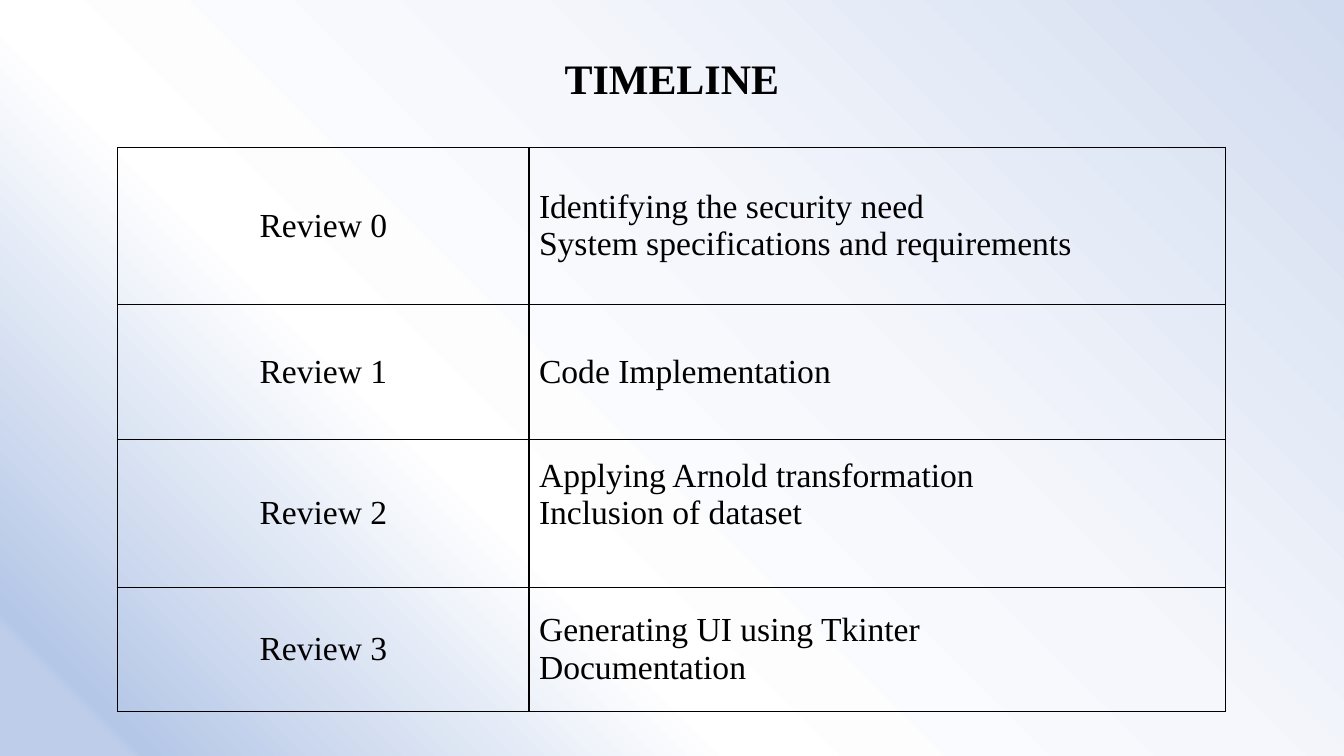
from pptx import Presentation
from pptx.dml.color import RGBColor
from pptx.enum.text import MSO_ANCHOR as ANCHOR, PP_ALIGN as ALIGN
from pptx.oxml import parse_xml
from pptx.oxml.ns import nsdecls
from pptx.util import Cm, Pt

BLACK = RGBColor(0x00, 0x00, 0x00)
BACKGROUND_STOPS = [
    (0, RGBColor(0xBE, 0xCE, 0xEA)),
    (6, RGBColor(0xBE, 0xCE, 0xEA)),
    (7, RGBColor(0xB5, 0xC7, 0xE7)),
    (35, RGBColor(0xFF, 0xFF, 0xFF)),
    (60, RGBColor(0xF5, 0xF7, 0xFC)),
    (100, RGBColor(0xD1, 0xDC, 0xF0)),
]
FONT = "Times New Roman"
COLUMN_WIDTHS = [10.36, 17.55]
MARGIN_BOTTOM = 0.13
REVIEWS = [
    ("Review 0", ["Identifying the security need",
                  "System specifications and requirements"], 3.96, MARGIN_BOTTOM),
    ("Review 1", ["Code Implementation"], 3.4, MARGIN_BOTTOM),
    ("Review 2", ["Applying Arnold transformation",
                  "Inclusion of dataset"], 3.73, 1.07),
    ("Review 3", ["Generating UI using Tkinter", "Documentation"], 3.12, MARGIN_BOTTOM),
]


def add_background(s):
    """Fill the slide with a gradient spreading from the bottom left corner."""
    stops = "".join(f'<a:gs pos="{pos * 1000}"><a:srgbClr val="{color}"/></a:gs>'
                    for pos, color in BACKGROUND_STOPS)
    bg = parse_xml(
        f'<p:bg {nsdecls("p", "a")}><p:bgPr><a:gradFill rotWithShape="1">'
        f'<a:gsLst>{stops}</a:gsLst><a:path path="circle">'
        '<a:fillToRect t="100000" r="100000"/></a:path></a:gradFill>'
        '<a:effectLst/></p:bgPr></p:bg>')
    s.element.cSld.insert(0, bg)


def write_lines(tf, lines, size, align, bold=False):
    """Write one paragraph per line into a text frame."""
    for i, line in enumerate(lines):
        p = tf.add_paragraph() if i else tf.paragraphs[0]
        p.alignment = align
        r = p.add_run()
        r.text = line
        r.font.name = FONT
        r.font.size = Pt(size)
        r.font.bold = bold
        r.font.color.rgb = BLACK


def add_title(s, left, top, width, height):
    """Place the centred slide title in the given box."""
    tf = s.shapes.add_textbox(left, top, width, height).text_frame
    tf.word_wrap = True
    tf.vertical_anchor = ANCHOR.MIDDLE
    write_lines(tf, ["TIMELINE"], 30, ALIGN.CENTER, bold=True)
    tf.paragraphs[0].line_spacing = 0.9


def format_cell(cell):
    """Give a table cell a thin black border and no fill."""
    cell.vertical_anchor = ANCHOR.MIDDLE
    cell.fill.background()
    tc_pr = cell._tc.get_or_add_tcPr()
    for i, side in enumerate("LRTB"):
        tc_pr.insert(i, parse_xml(
            f'<a:ln{side} {nsdecls("a")} w="12700"><a:solidFill>'
            f'<a:srgbClr val="{BLACK}"/></a:solidFill></a:ln{side}>'))


def add_timeline(s, left, top, width, height):
    """Place the table of reviews and their tasks in the given box."""
    table = s.shapes.add_table(len(REVIEWS), len(COLUMN_WIDTHS),
                               left, top, width, height).table
    table.first_row = table.horz_banding = False
    for column, column_width in zip(table.columns, COLUMN_WIDTHS):
        column.width = Cm(column_width)
    for row, (review, tasks, row_height, margin_bottom) in zip(table.rows, REVIEWS):
        row.height = Cm(row_height)
        review_cell, task_cell = row.cells
        write_lines(review_cell.text_frame, [review], 24, ALIGN.CENTER)
        write_lines(task_cell.text_frame, tasks, 24, ALIGN.LEFT)
        task_cell.margin_bottom = Cm(margin_bottom)
        for cell in row.cells:
            format_cell(cell)


def main():
    """Build the timeline slide and save it."""
    prs = Presentation()
    prs.slide_width, prs.slide_height = Cm(33.87), Cm(19.05)
    s = prs.slides.add_slide(prs.slide_layouts[6])
    add_background(s)
    add_title(s, Cm(2.33), Cm(0.84), Cm(29.21), Cm(2.41))
    add_timeline(s, Cm(2.97), Cm(3.71), Cm(27.91), Cm(14.21))
    prs.save("out.pptx")


if __name__ == "__main__":
    main()
